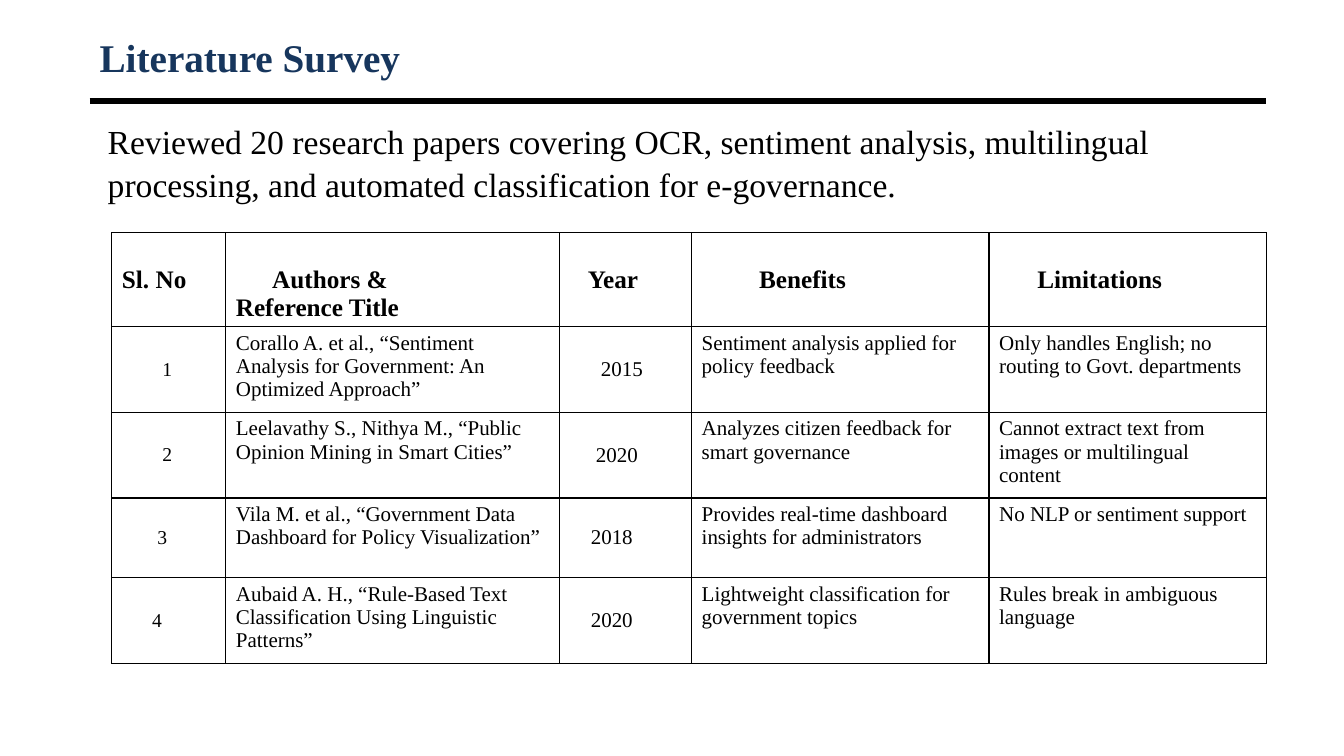
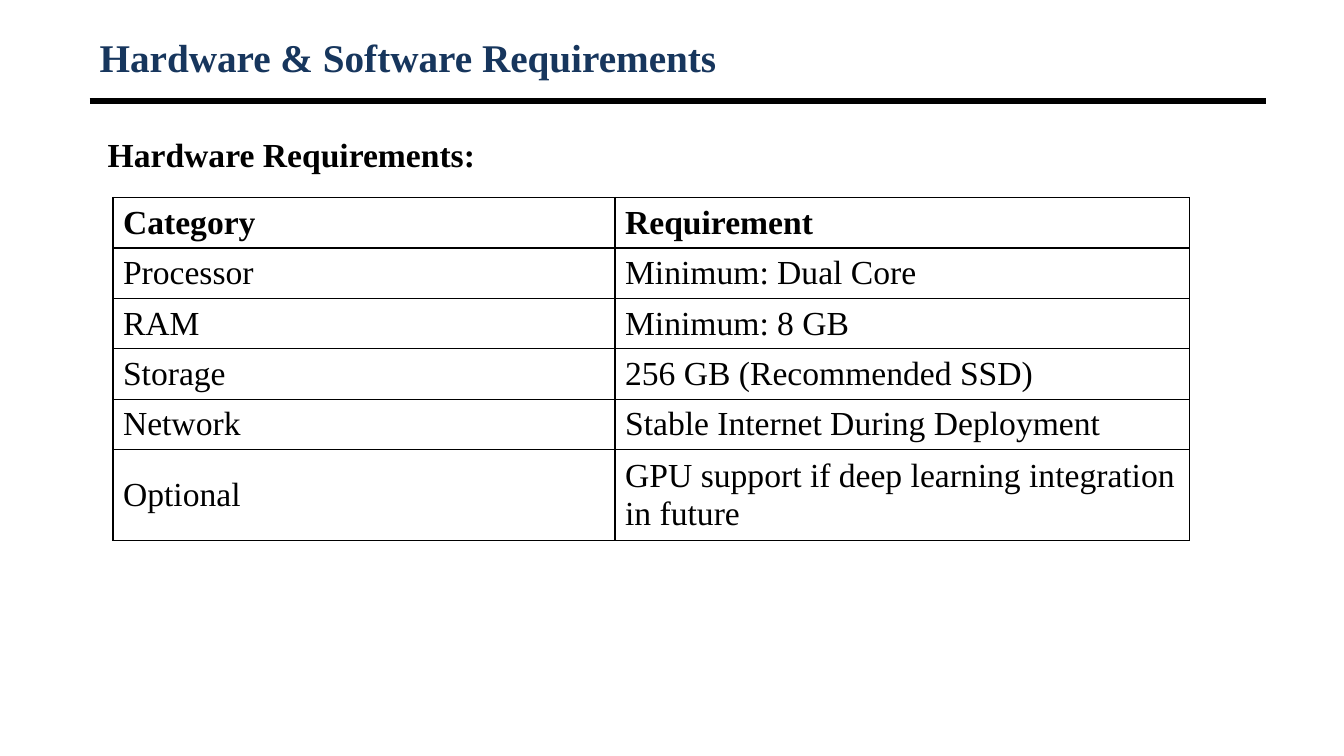
from lxml.etree import SubElement
from pptx import Presentation
from pptx.dml.color import RGBColor
from pptx.enum.shapes import MSO_CONNECTOR
from pptx.enum.text import MSO_ANCHOR as ANCHOR
from pptx.oxml.ns import qn
from pptx.util import Inches, Pt

NAVY = RGBColor(0x17, 0x36, 0x5D)
BLACK = RGBColor(0, 0, 0)
FONT = "Times New Roman"
LEFT, WIDTH = 0.89, 11.67


class Deck:
    def __init__(self):
        self.prs = Presentation()
        self.prs.slide_width = Inches(13.33)
        self.prs.slide_height = Inches(7.5)
        self.s = None

    def slide(self, title):
        """Start a slide with its title and the rule below it."""
        self.s = self.prs.slides.add_slide(self.prs.slide_layouts[6])
        rule = self.s.shapes.add_connector(
            MSO_CONNECTOR.STRAIGHT, Inches(LEFT), Inches(1), Inches(LEFT + WIDTH), Inches(1))
        rule.line.color.rgb = BLACK
        rule.line.width = Pt(4.5)
        SubElement(rule._element.spPr, qn("a:effectLst"))
        self.text(title, 0.3, 0.53, 28, bold=True, color=NAVY, anchor=ANCHOR.MIDDLE)

    def style(self, p, size, bold, color=BLACK):
        f = p.font
        f.name, f.size, f.bold = FONT, Pt(size), bold
        f.color.rgb = color

    def text(self, text, top, height, size, bold=False, color=BLACK, anchor=ANCHOR.TOP):
        sp = self.s.shapes.add_textbox(Inches(LEFT), Inches(top), Inches(WIDTH), Inches(height))
        tf = sp.text_frame
        tf.word_wrap = True
        tf.vertical_anchor = anchor
        p = tf.paragraphs[0]
        p.text = text
        self.style(p, size, bold, color)
        return p

    def lead(self, text, top, height, bold=False):
        """Indented introduction above a table."""
        p = self.text(text, top, height, 24, bold)
        p.line_spacing = 1.07
        p._p.get_or_add_pPr().set("marL", str(Inches(0.08)))

    def table(self, left, top, widths, heights):
        frame = self.s.shapes.add_table(
            len(heights), len(widths), Inches(left), Inches(top),
            Inches(sum(widths)), Inches(sum(heights)))
        table = frame.table
        table.first_row = table.horz_banding = False
        for column, width in zip(table.columns, widths):
            column.width = Inches(width)
        for row, height in zip(table.rows, heights):
            row.height = Inches(height)
        return table

    def cell(self, cell, text, size, bold=False, indent=0, anchor=ANCHOR.MIDDLE):
        cell.vertical_anchor = anchor
        p = cell.text_frame.paragraphs[0]
        p.text = text
        if indent:
            p._p.get_or_add_pPr().set("indent", str(Inches(indent)))
        self.style(p, size, bold)
        tcPr = cell._tc.get_or_add_tcPr()
        for side in ("lnL", "lnR", "lnT", "lnB"):
            ln = SubElement(tcPr, qn(f"a:{side}"), w=str(Pt(1)))
            fill = SubElement(ln, qn("a:solidFill"))
            SubElement(fill, qn("a:srgbClr"), val=str(BLACK))
        cell.fill.background()


def literature_survey(deck):
    deck.slide("Literature Survey")
    deck.lead("Reviewed 20 research papers covering OCR, sentiment analysis, multilingual "
              "processing, and automated classification for e-governance.", 1.12, 0.95)
    header = [
        ("Sl. No", 0), ("Authors &\vReference Title", 0.36), ("Year", 0.18),
        ("Benefits", 0.57), ("Limitations", 0.38),
    ]
    papers = [
        ("Corallo A. et al., “Sentiment Analysis for Government: An Optimized Approach”", "2015",
         "Sentiment analysis applied for policy feedback",
         "Only handles English; no routing to Govt. departments"),
        ("Leelavathy S., Nithya M., “Public Opinion Mining in Smart Cities”", "2020",
         "Analyzes citizen feedback for smart governance",
         "Cannot extract text from images or multilingual content"),
        ("Vila M. et al., “Government Data Dashboard for Policy Visualization”", "2018",
         "Provides real-time dashboard insights for administrators",
         "No NLP or sentiment support"),
        ("Aubaid A. H., “Rule-Based Text Classification Using Linguistic Patterns”", "2020",
         "Lightweight classification for government topics",
         "Rules break in ambiguous language"),
    ]
    number_indents = [0.4, 0.4, 0.35, 0.3]
    year_indents = [0.31, 0.26, 0.21, 0.21]

    table = deck.table(1.11, 2.31, [1.13, 3.31, 1.31, 2.95, 2.75],
                       [0.93] + [0.79] * len(papers))
    for c, (label, indent) in enumerate(header):
        anchor = ANCHOR.BOTTOM if "\v" in label else ANCHOR.MIDDLE
        deck.cell(table.cell(0, c), label, 18, True, indent, anchor)
    for r, (title, year, benefit, limit) in enumerate(papers, 1):
        deck.cell(table.cell(r, 0), str(r), 14, indent=number_indents[r - 1])
        deck.cell(table.cell(r, 2), year, 15, indent=year_indents[r - 1])
        for c, text in ((1, title), (3, benefit), (4, limit)):
            deck.cell(table.cell(r, c), text, 15, anchor=ANCHOR.TOP)


def requirements(deck):
    deck.slide("Hardware & Software Requirements")
    deck.lead("Hardware Requirements:", 1.25, 0.55, bold=True)
    rows = [
        ("Category", "Requirement"),
        ("Processor", "Minimum: Dual Core"),
        ("RAM", "Minimum: 8 GB"),
        ("Storage", "256 GB (Recommended SSD)"),
        ("Network", "Stable Internet During Deployment"),
        ("Optional", "GPU support if deep learning integration in future"),
    ]
    table = deck.table(1.12, 1.96, [4.98, 5.7], [0.47] * 5 + [0.84])
    for r, row in enumerate(rows):
        for c, text in enumerate(row):
            deck.cell(table.cell(r, c), text, 24, bold=r == 0)


def main():
    deck = Deck()
    literature_survey(deck)
    requirements(deck)
    deck.prs.save("out.pptx")


if __name__ == "__main__":
    main()
